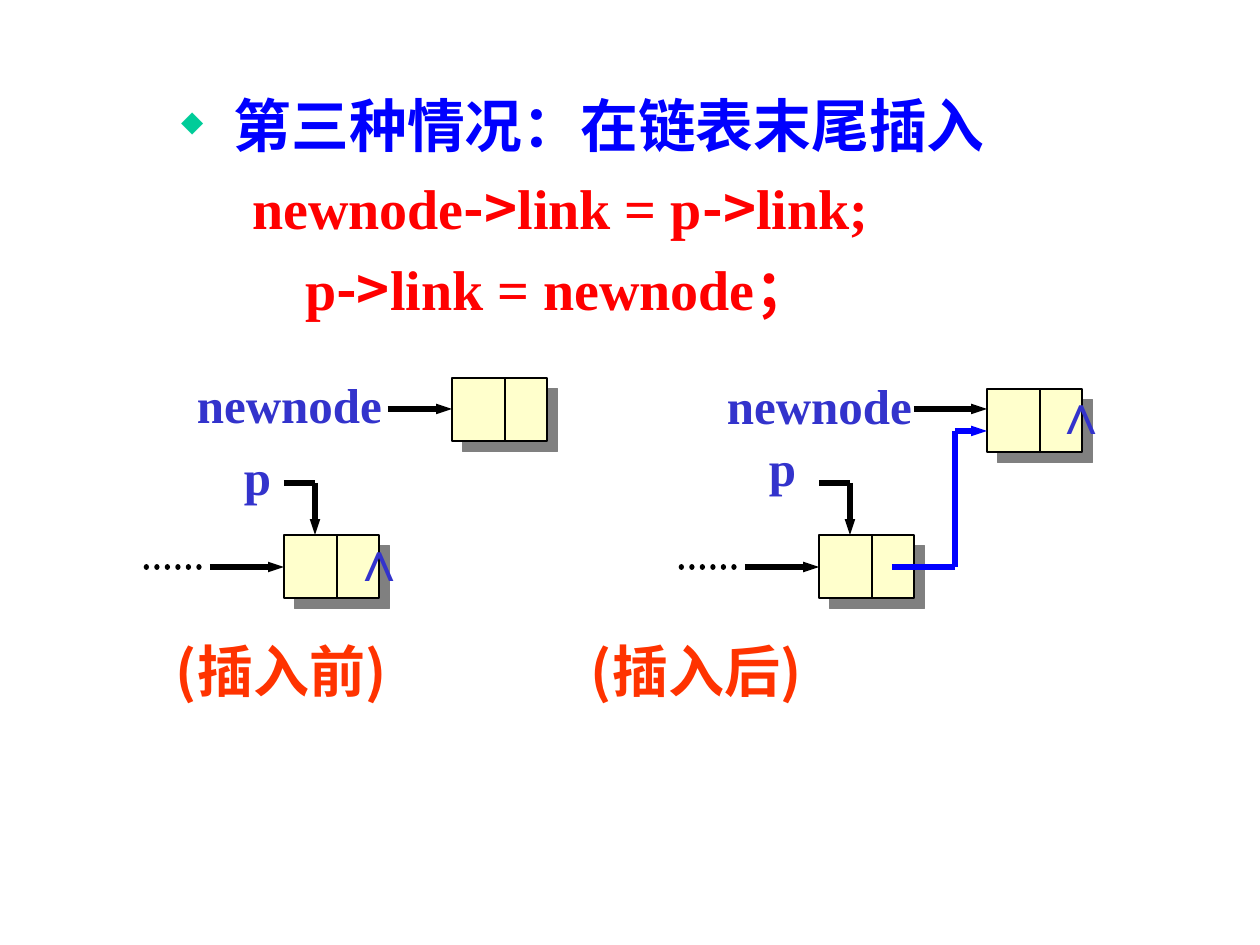
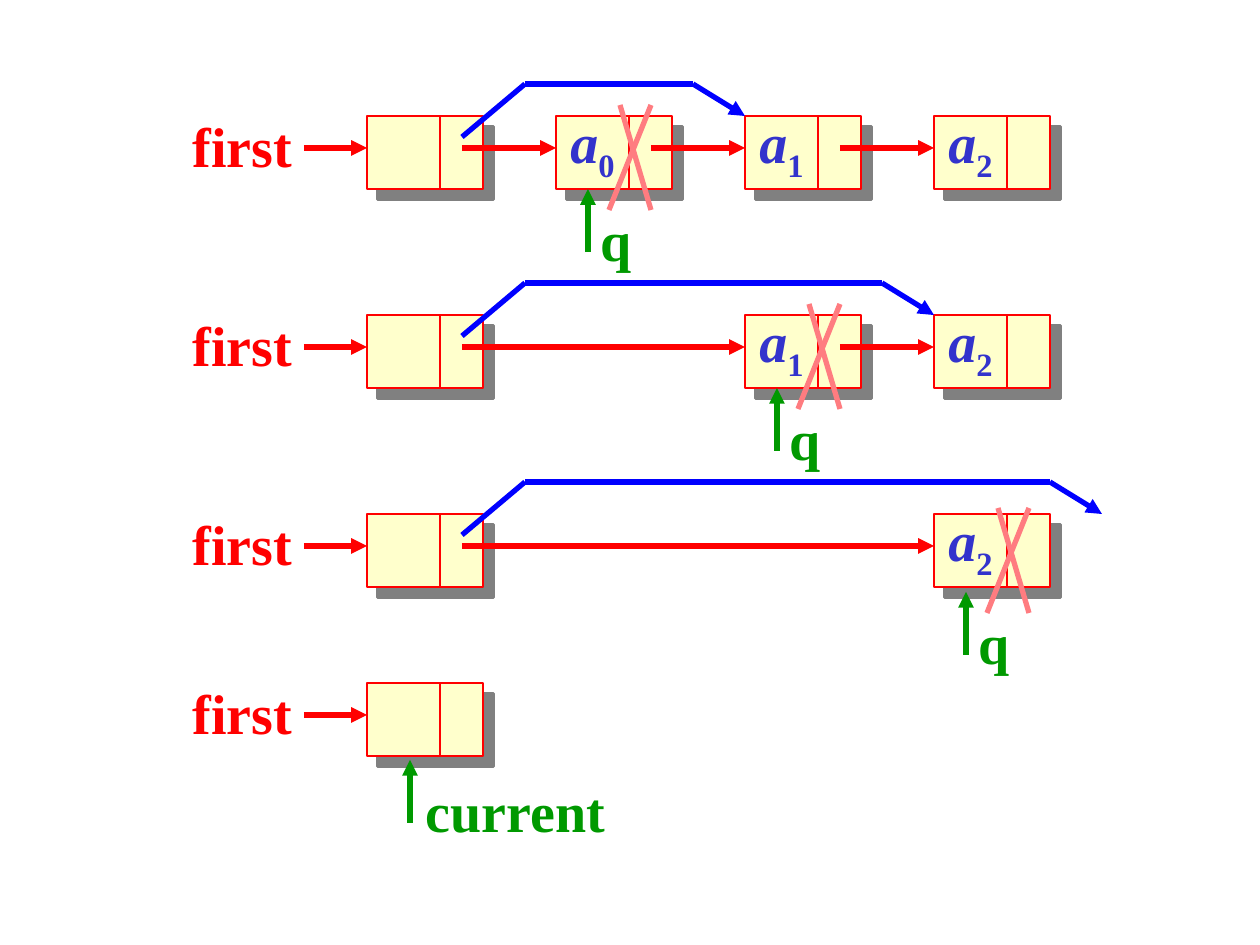
from dataclasses import dataclass

from lxml import etree
from pptx import Presentation
from pptx.dml.color import RGBColor
from pptx.enum.dml import MSO_LINE
from pptx.enum.shapes import MSO_CONNECTOR, MSO_SHAPE
from pptx.enum.text import MSO_ANCHOR, PP_ALIGN
from pptx.oxml.ns import qn
from pptx.util import Emu, Pt

RECTANGLE = MSO_SHAPE.RECTANGLE
STRAIGHT = MSO_CONNECTOR.STRAIGHT
DOTTED = MSO_LINE.ROUND_DOT
LEFT, CENTER = PP_ALIGN.LEFT, PP_ALIGN.CENTER
TOP, MIDDLE = MSO_ANCHOR.TOP, MSO_ANCHOR.MIDDLE
PX = 914400 / 126


@dataclass(frozen=True)
class Theme:
    black: str = "000000"
    blue: str = "0000FF"
    indigo: str = "3333CC"
    red: str = "FF0000"
    orange: str = "FF3300"
    pink: str = "FF7C80"
    green: str = "009900"
    bullet: str = "00CC99"
    cell: str = "FFFFCC"
    shadow: str = "808080"
    serif: str = "Times New Roman"
    sans: str = "Arial"
    chinese: str = "Noto Sans CJK SC"
    title: int = 33
    large: int = 32
    label: int = 28
    thick: float = 3
    frame: float = 1.5
    thin: float = 0.75


theme = Theme()


def write(page, at, *paragraphs, size=theme.large, color=theme.indigo,
          font=theme.serif, align=LEFT, anchor=TOP):
    """Add a text box; a paragraph is a string or a list of (text, overrides)."""
    box = page.shapes.add_textbox(*[Emu(round(n * PX)) for n in at])
    frame = box.text_frame
    frame.word_wrap = True
    frame.vertical_anchor = anchor
    frame.margin_left = Emu(0 if align == CENTER else round(13 * PX))
    frame.margin_right = Emu(0)
    for i, content in enumerate(paragraphs):
        para = frame.add_paragraph() if i else frame.paragraphs[0]
        para.alignment = align
        spans = [(content, {})] if isinstance(content, str) else content
        for text, changes in spans:
            span = para.add_run()
            span.text = text
            span.font.bold = True
            span.font.italic = changes.get("italic", False)
            span.font.size = Pt(changes.get("size", size))
            span.font.color.rgb = RGBColor.from_string(changes.get("color", color))
            span.font.name = changes.get("font", font)
            properties = span._r.get_or_add_rPr()
            etree.SubElement(properties, qn("a:ea"), typeface=theme.chinese)
            if "baseline" in changes:
                properties.set("baseline", str(changes["baseline"]))
    return box


def stroke(page, color, *points, weight=theme.thick, head=None, dash=None):
    """Join the points by straight lines; head is the width of the last arrowhead."""
    for start, end in zip(points, points[1:]):
        ends = [Emu(round(n * PX)) for n in (*start, *end)]
        connector = page.shapes.add_connector(STRAIGHT, *ends)
        connector.line.color.rgb = RGBColor.from_string(color)
        connector.line.width = Pt(weight)
        outline = connector.line._get_or_add_ln()
        if dash:
            connector.line.dash_style = dash
            outline.set("cap", "rnd")
        if head and end == points[-1]:
            etree.SubElement(outline, qn("a:tailEnd"), type="triangle", w=head, len="med")
        etree.SubElement(connector._element.spPr, qn("a:effectLst"))


deck = Presentation()
deck.slide_width, deck.slide_height = Emu(round(1260 * PX)), Emu(round(945 * PX))
blank = deck.slide_layouts[6]
insert_page = deck.slides.add_slide(blank)
clear_page = deck.slides.add_slide(blank)

# Rows of the clearing steps: top, occupied columns, end of bypass, pointer drop
columns = [367 + 189 * i for i in range(4)]
rows = [
    (116, [0, 1, 2, 3], columns[2], 0),
    (315, [0, 2, 3], columns[3], 0),
    (514, [0, 3], 1102, 5),
    (683, [0], None, 4),
]

# List nodes of both slides: body with hard shadow, then divider
small = (95, 63, 53, theme.black, theme.thin)
big = (116, 73, 73, theme.red, theme.frame)
nodes = [(insert_page, x, y, *small)
         for x, y in [(284, 535), (452, 378), (819, 535), (987, 389)]]
nodes += [(clear_page, columns[c], top, *big) for top, used, _, _ in rows for c in used]
for page, x, y, width, height, split, color, weight in nodes:
    node = page.shapes.add_shape(RECTANGLE, *[Emu(round(n * PX)) for n in (x, y, width, height)])
    node.fill.solid()
    node.fill.fore_color.rgb = RGBColor.from_string(theme.cell)
    node.line.color.rgb = RGBColor.from_string(color)
    node.line.width = Pt(weight)
    node.shadow.inherit = False
    effects = node._element.spPr.find(qn("a:effectLst"))
    shadow = etree.SubElement(effects, qn("a:outerShdw"), blurRad="0", dist=str(Pt(8.5)),
                              dir="2700000", algn="ctr", rotWithShape="0")
    etree.SubElement(shadow, qn("a:srgbClr"), val=theme.shadow)
    stroke(page, color, (x + split, y), (x + split, y + height), weight=weight)

# Slide 1: heading and code
arrow = ("->", {"font": theme.chinese})
body = write(
    insert_page, (105, 84, 1102, 270),
    [("第三种情况：在链表末尾插入", {"size": theme.title, "color": theme.blue})],
    [("newnode", {}), arrow, ("link = p", {}), arrow, ("link;", {})],
    [("p", {}), arrow, ("link = newnode；", {})],
    color=theme.red)
for para, (margin, indent) in zip(body.text_frame.paragraphs, [(116, -53), (134, 0), (187, 0)]):
    para.space_before = Pt(8)
    properties = para._p.get_or_add_pPr()
    properties.set("marL", str(round(margin * PX)))
    properties.set("indent", str(round(indent * PX)))
    if indent:
        bullet_color = etree.SubElement(properties, qn("a:buClr"))
        etree.SubElement(bullet_color, qn("a:srgbClr"), val=theme.bullet)
        etree.SubElement(properties, qn("a:buSzPct"), val="50000")
        etree.SubElement(properties, qn("a:buChar"), char="◆")

# Slide 1: what the lists before and after insertion share
for shift in (0, 535):
    stroke(insert_page, theme.black, (199 + shift, 567), (136 + shift, 567), dash=DOTTED)
    stroke(insert_page, theme.black, (210 + shift, 567), (284 + shift, 567), head="sm")
    stroke(insert_page, theme.black, (284 + shift, 483), (315 + shift, 483),
           (315 + shift, 535), head="sm")

# Slide 1: new node pointers, the new link, labels and captions
for start, end in [(388, 452), (914, 987)]:
    stroke(insert_page, theme.black, (start, 409), (end, 409), head="sm")
stroke(insert_page, theme.blue, (892, 567), (955, 567), (955, 431), (987, 431), head="sm")
for text, x, y in [("newnode", 184, 368), ("newnode", 714, 369), ("p", 231, 440), ("p", 756, 431)]:
    write(insert_page, (x, y, 209 if text == "newnode" else 52, 72), text, size=theme.label)
for x, y in [(338, 519), (1041, 372)]:
    write(insert_page, (x, y, 82, 81), "∧", font=theme.sans)
for text, x in [("(插入前)", 163), ("(插入后)", 578)]:
    write(insert_page, (x, 630, 290, 81), text, color=theme.orange, font=theme.chinese)

# Slide 2: one list per step
for top, used, bypass_end, drop in rows:
    middle = top + 32
    write(clear_page, (180, top - 11, 125, 81), "first", color=theme.red,
          align=CENTER, anchor=MIDDLE)
    stroke(clear_page, theme.red, (304, middle), (columns[0], middle), head="med")
    for here, following in zip(used, used[1:]):
        stroke(clear_page, theme.red, (columns[here] + 95, middle),
               (columns[following], middle), head="med")
    for column in used[1:]:
        write(clear_page, (columns[column] + 2, top - 15, 69, 89),
              [("a", {"italic": True}), (str(column - 1), {"baseline": -25000})],
              align=CENTER, anchor=MIDDLE)

    # Bypass and cross over the removed node
    if bypass_end:
        removed = columns[used[1]]
        stroke(clear_page, theme.blue, (462, top + 21), (525, top - 32),
               (bypass_end - 52, top - 32), (bypass_end, top), head="med")
        stroke(clear_page, theme.pink, (removed + 95, top - 11 + drop),
               (removed + 53, top + 94 + drop))
        stroke(clear_page, theme.pink, (removed + 64, top - 11 + drop),
               (removed + 95, top + 94 + drop))
        name, pointer, label_x, label_width = "q", removed + 32, removed + 32, 57
    else:
        name, pointer, label_x, label_width = "current", 410, 413, 205

    # Pointer from below
    tip = top + 73 + drop
    stroke(clear_page, theme.green, (pointer, tip + 63), (pointer, tip), head="med")
    write(clear_page, (label_x, tip + 10, label_width, 81), name, color=theme.green,
          align=CENTER, anchor=MIDDLE)

deck.save("out.pptx")
